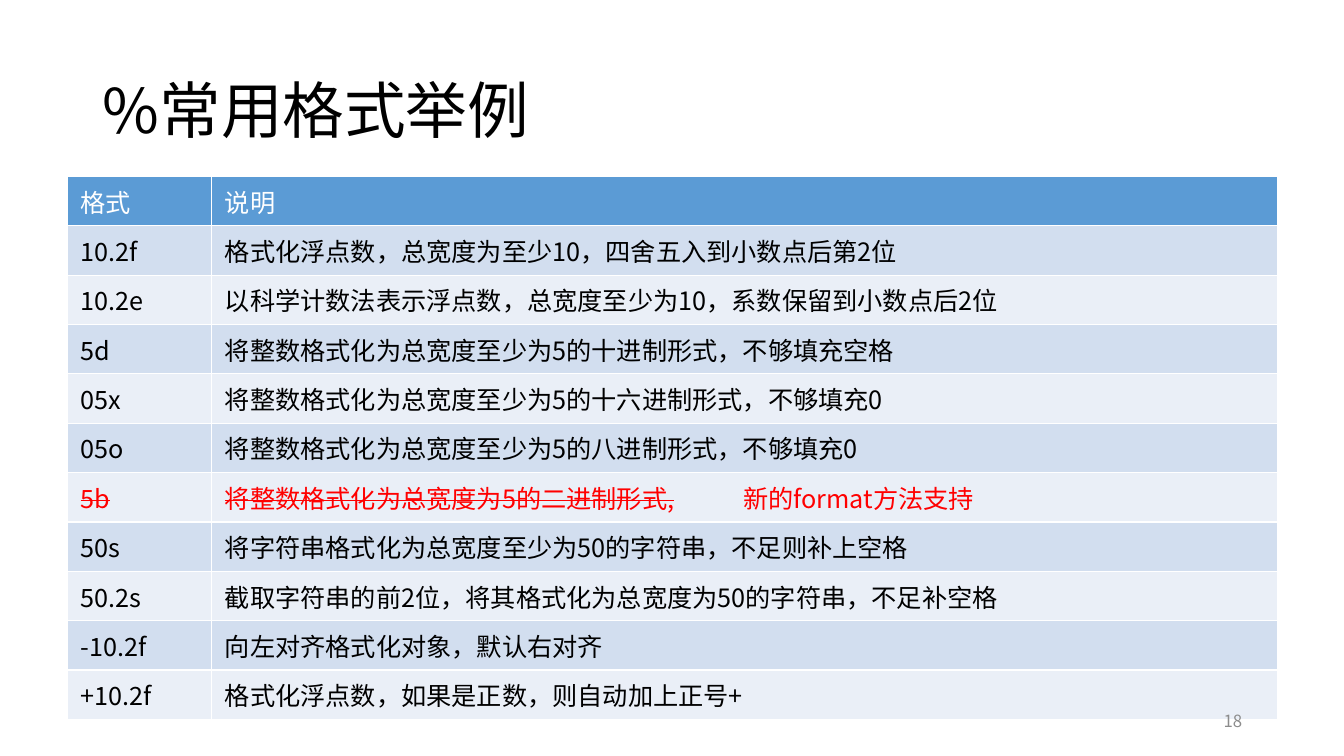
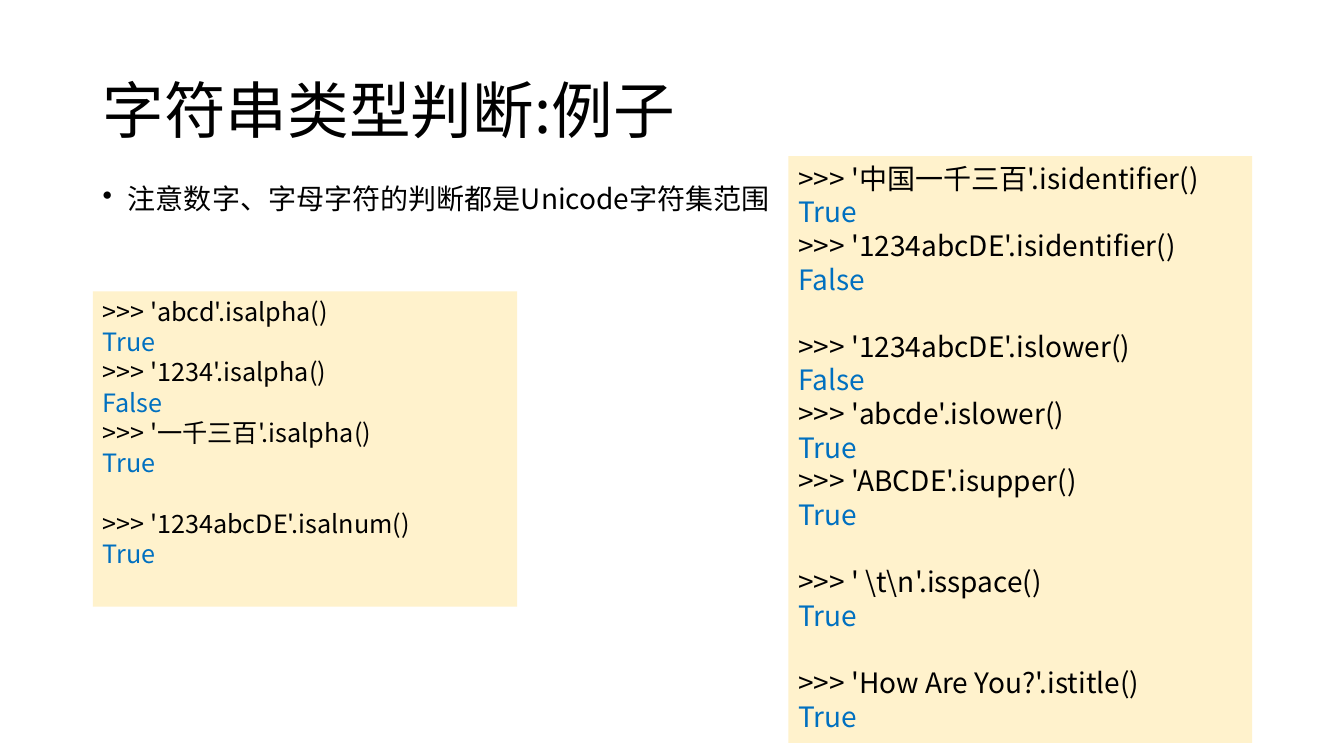
from dataclasses import dataclass

from lxml import etree
from pptx import Presentation
from pptx.dml.color import RGBColor
from pptx.enum.shapes import MSO_SHAPE
from pptx.enum.text import MSO_ANCHOR, PP_ALIGN
from pptx.oxml.ns import qn
from pptx.util import Inches, Pt

RECTANGLE = MSO_SHAPE.RECTANGLE
TOP, MIDDLE = MSO_ANCHOR.TOP, MSO_ANCHOR.MIDDLE
LEFT, RIGHT = PP_ALIGN.LEFT, PP_ALIGN.RIGHT


@dataclass(frozen=True)
class Theme:
    font: str = "Noto Sans CJK SC"
    text: str = "000000"
    muted: str = "8C8C8C"
    output: str = "0070C0"
    warning: str = "FF0000"
    code_fill: str = "FFF2CC"
    header_fill: str = "5B9BD5"
    header_text: str = "FFFFFF"
    row_fills: tuple = ("D2DEEF", "EAEFF7")
    title_size: int = 44
    body_size: int = 20
    table_size: int = 18
    number_size: int = 12


class Deck:
    """Holds the theme and the current slide, and draws each kind of element."""

    def __init__(self, theme):
        self.theme = theme
        self.presentation = Presentation()
        self.presentation.slide_width = Inches(13.33)
        self.presentation.slide_height = Inches(7.5)
        self.slide = None

    def add_slide(self, title):
        self.slide = self.presentation.slides.add_slide(self.presentation.slide_layouts[6])
        paragraph = self.text_box((0.92, 0.4, 11.5, 1.45), MIDDLE)
        paragraph.line_spacing = 0.9
        self.run(paragraph, title, self.theme.title_size)

    def run(self, paragraph, text, size, color=None, strike=False):
        run = paragraph.add_run()
        run.text = text
        run.font.size = Pt(size)
        run.font.bold = False
        run.font.name = self.theme.font
        run.font.color.rgb = RGBColor.from_string(color or self.theme.text)
        properties = run.font._element
        etree.SubElement(properties, qn("a:ea"), typeface=self.theme.font)
        if strike:
            properties.set("strike", "sngStrike")

    def text_box(self, place, anchor=TOP):
        frame = self.slide.shapes.add_textbox(*map(Inches, place)).text_frame
        frame.word_wrap = True
        frame.vertical_anchor = anchor
        return frame.paragraphs[0]

    def bullet(self, place, text):
        paragraph = self.text_box(place)
        paragraph.line_spacing = 0.9
        paragraph.space_before = Pt(10)
        properties = paragraph._p.get_or_add_pPr()
        properties.set("marL", str(Inches(0.25)))
        properties.set("indent", str(Inches(-0.25)))
        etree.SubElement(properties, qn("a:buChar"), char="•")
        self.run(paragraph, text, self.theme.body_size)

    def slide_number(self, number):
        paragraph = self.text_box((9.42, 6.95, 3, 0.4), MIDDLE)
        paragraph.alignment = RIGHT
        self.run(paragraph, str(number), self.theme.number_size, self.theme.muted)

    def code(self, place, size, groups):
        shape = self.slide.shapes.add_shape(RECTANGLE, *map(Inches, place))
        shape.shadow.inherit = False
        shape.fill.solid()
        shape.fill.fore_color.rgb = RGBColor.from_string(self.theme.code_fill)
        shape.line.fill.background()
        frame = shape.text_frame
        frame.word_wrap = True
        frame.vertical_anchor = TOP
        line_height = Pt(size * 1.2)
        paragraph = None
        for group in groups:
            for index, (call, result) in enumerate(group):
                for text, color in ((f">>> {call}", self.theme.text), (result, self.theme.output)):
                    starts_group = paragraph and index == 0 and text != result
                    paragraph = frame.add_paragraph() if paragraph else frame.paragraphs[0]
                    paragraph.alignment = LEFT
                    paragraph.line_spacing = line_height
                    if starts_group:
                        paragraph.space_before = line_height
                    self.run(paragraph, text, size, color)

    def table(self, place, widths, rows, struck_format, replacement):
        theme = self.theme
        frame = self.slide.shapes.add_table(len(rows), len(widths), *map(Inches, place))
        table = frame.table
        for column, width in zip(table.columns, widths):
            column.width = Inches(width)
        for row_index, row in enumerate(rows):
            table.rows[row_index].height = Inches(place[3] / len(rows))
            struck = row[0] == struck_format
            if row_index == 0:
                fill, color = theme.header_fill, theme.header_text
            else:
                fill = theme.row_fills[(row_index - 1) % 2]
                color = theme.warning if struck else theme.text
            for column_index, text in enumerate(row):
                cell = table.cell(row_index, column_index)
                cell.fill.solid()
                cell.fill.fore_color.rgb = RGBColor.from_string(fill)
                cell.vertical_anchor = MIDDLE
                cell.margin_left = cell.margin_right = Inches(0.13)
                cell.margin_top = cell.margin_bottom = Inches(0.05)
                paragraph = cell.text_frame.paragraphs[0]
                self.run(paragraph, text, theme.table_size, color, struck)
                if struck and column_index == 1:
                    self.tab_stop(paragraph, 5.14)
                    self.run(paragraph, f"\t{replacement}", theme.table_size, color)

    def tab_stop(self, paragraph, position):
        stops = etree.SubElement(paragraph._p.get_or_add_pPr(), qn("a:tabLst"))
        etree.SubElement(stops, qn("a:tab"), pos=str(Inches(position)), algn="l")


FORMATS = [
    ("格式", "说明"),
    ("10.2f", "格式化浮点数，总宽度为至少10，四舍五入到小数点后第2位"),
    ("10.2e", "以科学计数法表示浮点数，总宽度至少为10，系数保留到小数点后2位"),
    ("5d", "将整数格式化为总宽度至少为5的十进制形式，不够填充空格"),
    ("05x", "将整数格式化为总宽度至少为5的十六进制形式，不够填充0"),
    ("05o", "将整数格式化为总宽度至少为5的八进制形式，不够填充0"),
    ("5b", "将整数格式化为总宽度为5的二进制形式,"),
    ("50s", "将字符串格式化为总宽度至少为50的字符串，不足则补上空格"),
    ("50.2s", "截取字符串的前2位，将其格式化为总宽度为50的字符串，不足补空格"),
    ("-10.2f", "向左对齐格式化对象，默认右对齐"),
    ("+10.2f", "格式化浮点数，如果是正数，则自动加上正号+"),
]

ALPHABET_EXAMPLES = [
    [
        ("'abcd'.isalpha()", "True"),
        ("'1234'.isalpha()", "False"),
        ("'一千三百'.isalpha()", "True"),
    ],
    [("'1234abcDE'.isalnum()", "True")],
]

CASE_EXAMPLES = [
    [
        ("'中国一千三百'.isidentifier()", "True"),
        ("'1234abcDE'.isidentifier()", "False"),
    ],
    [
        ("'1234abcDE'.islower()", "False"),
        ("'abcde'.islower()", "True"),
        ("'ABCDE'.isupper()", "True"),
    ],
    [(r"' \t\n'.isspace()", "True")],
    [("'How Are You?'.istitle()", "True")],
]


def main():
    deck = Deck(Theme())

    deck.add_slide("%常用格式举例")
    deck.table((0.67, 1.75, 12, 5.39), (1.43, 10.57), FORMATS, "5b", "新的format方法支持")
    deck.slide_number(18)

    deck.add_slide("字符串类型判断:例子")
    deck.bullet((0.92, 1.79, 10.02, 1.08), "注意数字、字母字符的判断都是Unicode字符集范围")
    deck.code((0.92, 2.89, 4.21, 3.13), 18, ALPHABET_EXAMPLES)
    deck.code((7.82, 1.55, 4.6, 5.82), 20, CASE_EXAMPLES)

    deck.presentation.save("out.pptx")


if __name__ == "__main__":
    main()
